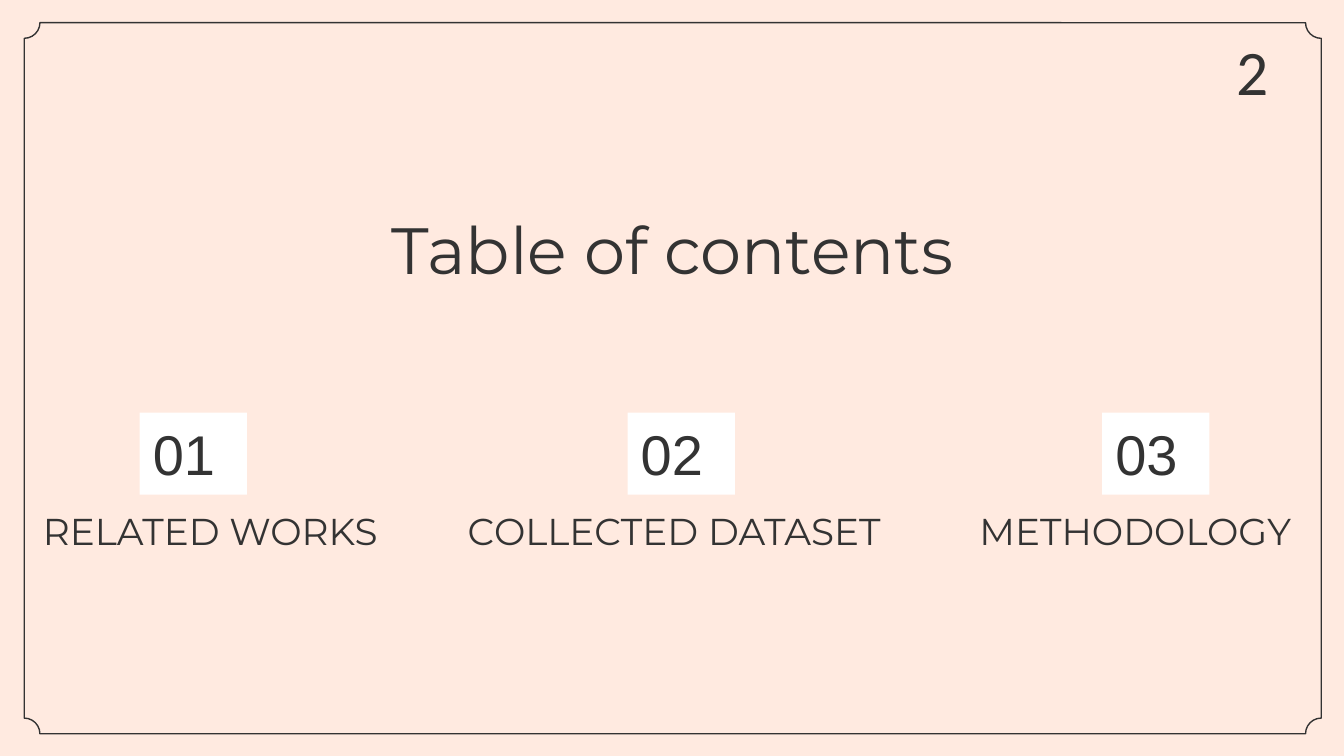
"""Build the table of contents slide with its framed border and numbered sections."""
import pptx
import pptx.dml.color
import pptx.enum.shapes
import pptx.enum.text
import pptx.util

Cm = pptx.util.Cm
RGBColor = pptx.dml.color.RGBColor
Anchor = pptx.enum.text.MSO_ANCHOR
Align = pptx.enum.text.PP_ALIGN
Preset = pptx.enum.shapes.MSO_SHAPE

PEACH = RGBColor(0xFF, 0xEA, 0xE0)
WHITE = RGBColor(0xFF, 0xFF, 0xFF)
CHARCOAL = RGBColor(0x33, 0x33, 0x33)

SECTIONS = [
    ("RELATED WORKS", 2.64, (0.56, 9.22, 1.96), 1.0),
    ("COLLECTED DATASET", 11.86, (8.59, 8.64, 1.35), 1.0),
    ("METHODOLOGY", 20.83, (18.26, 7.14, 1.35), 1.15),
]
CAPTION_BOTTOM = 10.7


class ContentsSlide:
    def __init__(self, presentation):
        self.slide = presentation.slides.add_slide(presentation.slide_layouts[5])
        background = self.slide.background.fill
        background.solid()
        background.fore_color.rgb = PEACH

    def apply(self, target, values):
        for name, value in values.items():
            setattr(target, name, value)

    def set_text(self, shape, text, size, font, anchor, align=Align.LEFT, spacing=1.0):
        frame = shape.text_frame
        self.apply(frame, {
            "text": text, "word_wrap": True, "vertical_anchor": anchor,
            "auto_size": pptx.enum.text.MSO_AUTO_SIZE.NONE,
            "margin_left": Cm(0.25), "margin_right": Cm(0.25),
            "margin_top": Cm(0.25), "margin_bottom": Cm(0.25),
        })
        paragraph = frame.paragraphs[0]
        self.apply(paragraph, {"alignment": align, "line_spacing": spacing})
        run_font = paragraph.runs[0].font
        self.apply(run_font, {"name": font, "size": pptx.util.Pt(size)})
        run_font.color.rgb = CHARCOAL

    def border(self, left, top, width, height):
        shape = self.slide.shapes.add_shape(
            Preset.PLAQUE, Cm(left), Cm(top), Cm(width), Cm(height))
        shape.adjustments[0] = 0.022
        shape.shadow.inherit = False
        shape.fill.background()
        shape.line.color.rgb = CHARCOAL
        shape.line.width = pptx.util.Pt(0.75)

    def title(self, text, left, top, width, height):
        shape = self.slide.shapes.title
        self.apply(shape, {"left": Cm(left), "top": Cm(top),
                           "width": Cm(width), "height": Cm(height)})
        self.set_text(shape, text, 35, "Montserrat", Anchor.TOP, Align.CENTER)

    def number(self, text, left, top, width, height):
        shape = self.slide.shapes.add_shape(
            Preset.RECTANGLE, Cm(left), Cm(top), Cm(width), Cm(height))
        shape.shadow.inherit = False
        shape.fill.solid()
        shape.fill.fore_color.rgb = WHITE
        shape.line.fill.background()
        self.set_text(shape, text, 30, "Arial", Anchor.MIDDLE)

    def label(self, text, left, top, width, height, size, font, anchor, spacing=1.0):
        shape = self.slide.shapes.add_textbox(Cm(left), Cm(top), Cm(width), Cm(height))
        self.set_text(shape, text, size, font, anchor, spacing=spacing)


def main():
    presentation = pptx.Presentation()
    presentation.slide_width = Cm(25.4)
    presentation.slide_height = Cm(14.29)
    contents = ContentsSlide(presentation)
    contents.border(0.46, 0.43, 24.51, 13.44)
    contents.title("Table of contents", 2.01, 3.71, 21.41, 1.6)
    for index, (caption, number_left, box, spacing) in enumerate(SECTIONS, 1):
        left, width, height = box
        contents.number(f"{index:02d}", number_left, 7.8, 2.03, 1.55)
        contents.label(caption, left, CAPTION_BOTTOM - height, width, height,
                       20, "Montserrat", Anchor.BOTTOM, spacing)
    contents.label("2", 23.11, 0.36, 2.29, 1.96, 34, "Calibri", Anchor.TOP)
    presentation.save("out.pptx")


if __name__ == "__main__":
    main()
